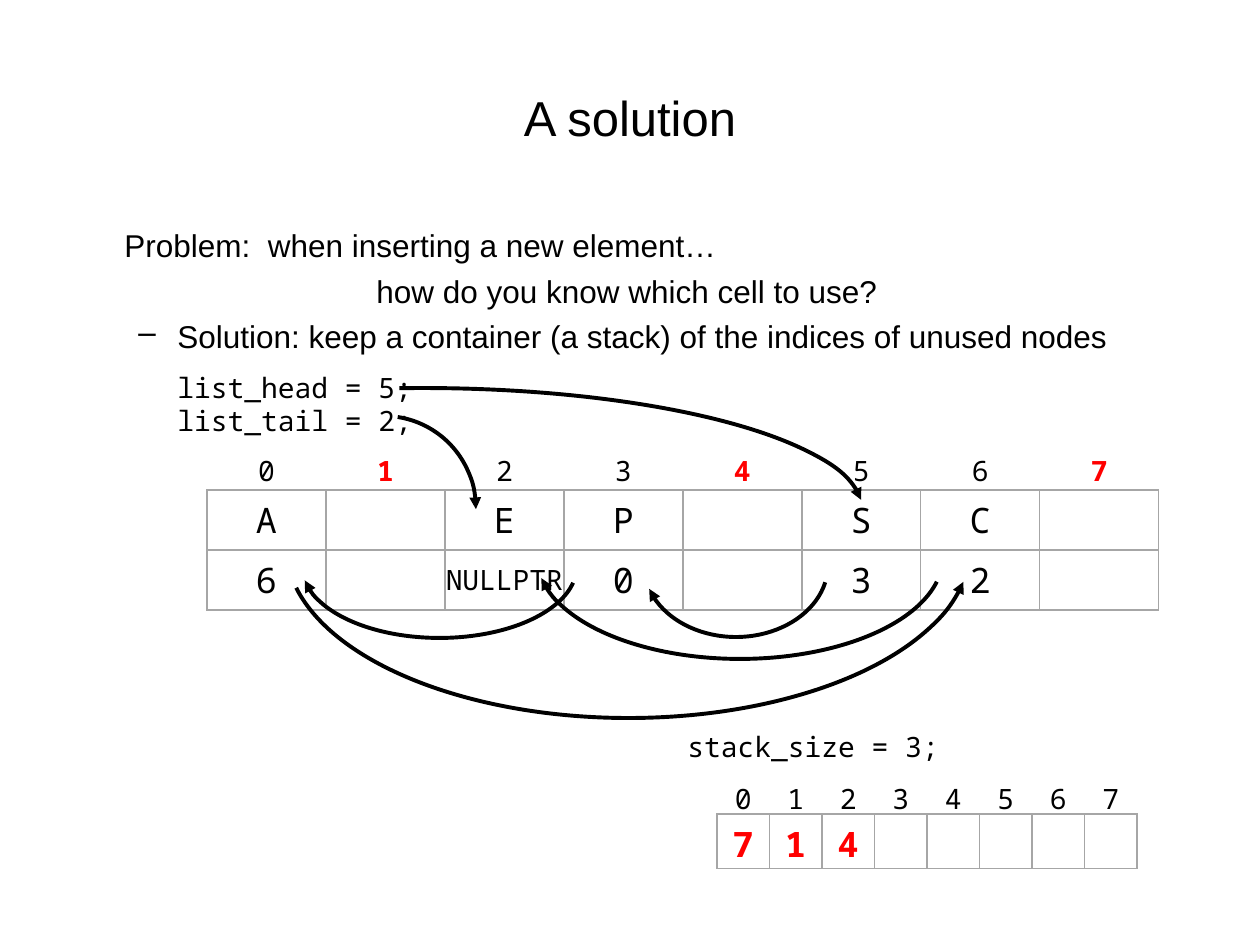
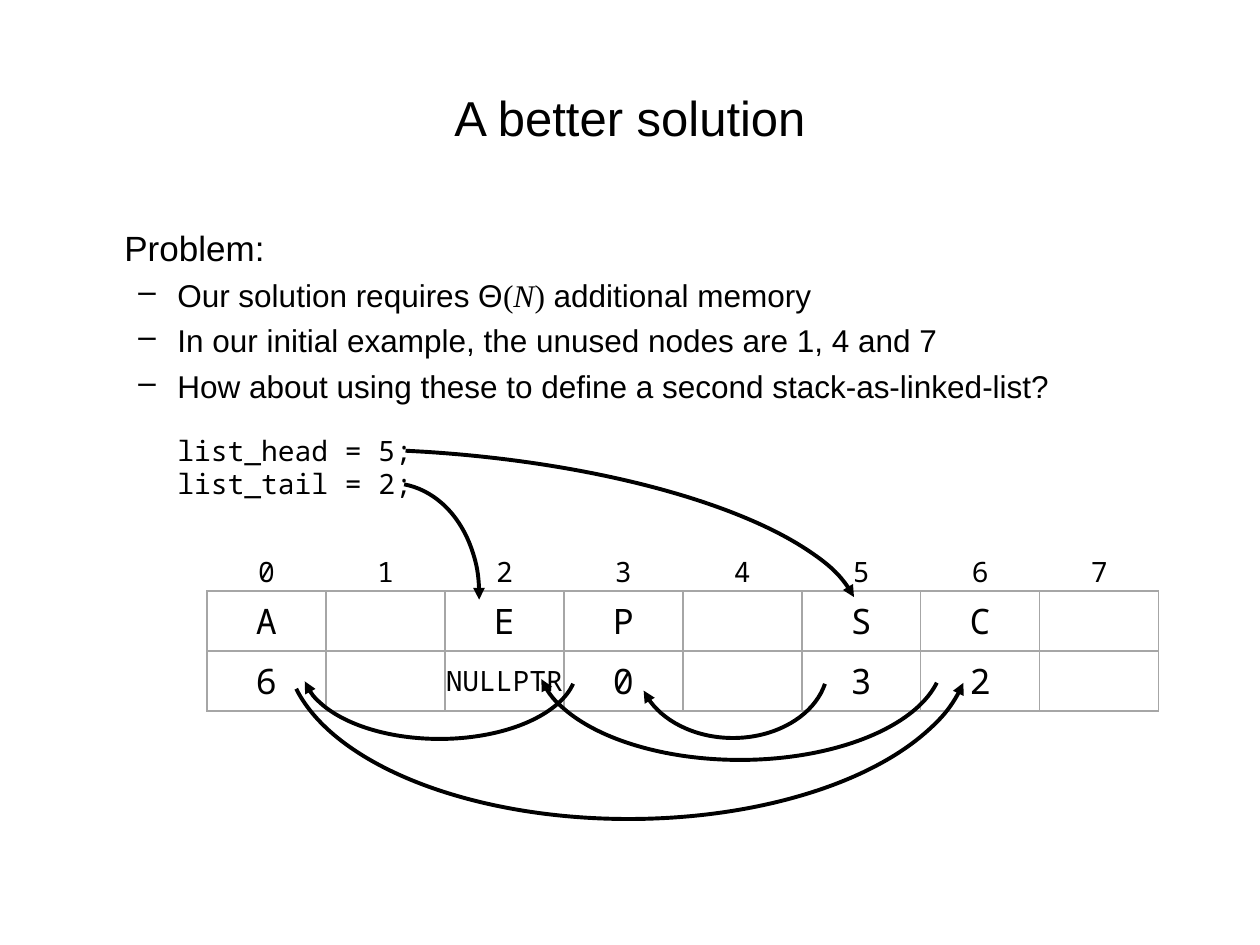
"""Builds two slides about storing a linked list in an array."""
from lxml.etree import SubElement
from pptx import Presentation
from pptx.dml.color import RGBColor
from pptx.enum.shapes import MSO_SHAPE
from pptx.enum.text import MSO_ANCHOR, PP_ALIGN
from pptx.oxml import parse_xml
from pptx.oxml.ns import nsdecls, qn
from pptx.util import Pt

BLACK = RGBColor(0x00, 0x00, 0x00)
RED = RGBColor(0xFF, 0x00, 0x00)
GREY = RGBColor(0xA6, 0xA6, 0xA6)
SANS, SERIF, MONO = "Arial", "Times New Roman", "Noto Sans Mono"
EMU_PER_PX = 914400 / 126

INDICES = "01234567"
LIST_VALUES = ["A", "", "E", "P", "", "S", "C", ""]
LIST_LINKS = ["6", "", "NULLPTR", "0", "", "3", "2", ""]
POINTERS = "list_head = 5;\nlist_tail = 2;"


def emu(px):
    return round(px * EMU_PER_PX)


class Deck:
    """Holds the shared style and the current slide."""

    def __init__(self):
        self.presentation = Presentation()
        self.presentation.slide_width = emu(1260)
        self.presentation.slide_height = emu(945)
        self.slide = None

    def new_slide(self, title):
        layout = self.presentation.slide_layouts[6]
        self.slide = self.presentation.slides.add_slide(layout)
        frame = self.frame(63, 38, 1134, 158)
        frame.vertical_anchor = MSO_ANCHOR.MIDDLE
        frame.text = title
        frame.paragraphs[0].alignment = PP_ALIGN.CENTER
        self.style(frame.paragraphs[0], 28)

    def frame(self, left, top, width, height):
        box = self.slide.shapes.add_textbox(*map(emu, (left, top, width, height)))
        box.text_frame.word_wrap = True
        return box.text_frame

    def style(self, paragraph, size, font=SANS, color=BLACK, bold=False):
        for run in paragraph.runs:
            run.font.size = Pt(size)
            run.font.name = font
            run.font.color.rgb = color
            run.font.bold = bold

    def body(self, lines):
        frame = self.frame(63, 220, 1134, 624)
        frame.text = "\n".join(text for text, *_ in lines)
        for paragraph, (_, size, margin, dash) in zip(frame.paragraphs, lines):
            paragraph.space_before = Pt(4.4)
            self.style(paragraph, size)
            properties = paragraph._p.get_or_add_pPr()
            properties.set("marL", str(emu(margin)))
            properties.set("indent", str(emu(-39 if dash else 0)))
            if dash:
                SubElement(properties, qn("a:buChar")).set("char", "–")
        return frame

    def code(self, left, top, height, text):
        frame = self.frame(left, top, 301, height)
        frame.text = text
        for paragraph in frame.paragraphs:
            self.style(paragraph, 16, MONO)

    def array(self, left, top, width, heights, rows, red=()):
        table = self.slide.shapes.add_table(
            len(rows), len(rows[0]), emu(left), emu(top), emu(width), emu(sum(heights))).table
        table.first_row = table.horz_banding = False
        for column in table.columns:
            column.width = emu(width / len(rows[0]))
        for r, (height, values) in enumerate(zip(heights, rows)):
            table.rows[r].height = emu(height)
            for c, value in enumerate(values):
                self.cell(table.cell(r, c), value, r == 0, (r, c) in red)

    def cell(self, cell, value, is_index, is_red):
        small = is_index or len(value) > 1
        cell.text = value
        cell.fill.background()
        if small:
            cell.margin_left = cell.margin_right = cell.margin_top = cell.margin_bottom = 0
        if small and not is_index:
            cell.vertical_anchor = MSO_ANCHOR.MIDDLE
        paragraph = cell.text_frame.paragraphs[0]
        paragraph.alignment = PP_ALIGN.CENTER
        self.style(paragraph, 16 if small else 20, MONO, RED if is_red else BLACK, is_red)
        properties = cell._tc.get_or_add_tcPr()
        for position, side in enumerate("B" if is_index else "LRTB"):
            properties.insert(position, parse_xml(
                f'<a:ln{side} {nsdecls("a")} w="12700"><a:solidFill>'
                f'<a:srgbClr val="{GREY}"/></a:solidFill></a:ln{side}>'))

    def arc(self, left, top, width, height, start, end, arrow="tailEnd", rotation=0):
        arc = self.slide.shapes.add_shape(
            MSO_SHAPE.ARC, *map(emu, (left, top, width, height)))
        arc.adjustments[0] = start * 0.6
        arc.adjustments[1] = end * 0.6
        arc.rotation = rotation
        arc.shadow.inherit = False
        arc.fill.background()
        arc.line.color.rgb = BLACK
        arc.line.width = Pt(2.25)
        SubElement(arc.line._get_or_add_ln(), qn(f"a:{arrow}")).set("type", "triangle")

    def linked_list(self, top, red=()):
        self.array(207, top, 952, (38, 60, 60), (INDICES, LIST_VALUES, LIST_LINKS), red)

    def node_links(self, top, p_left):
        self.arc(302, top + 42, 275, 144, 7.17, 173.9)
        self.arc(p_left, top + 41, 828 - p_left, 144, 10.97, 164.56)
        self.arc(286, top - 78, 685, 344, 6.1, 172.83, "headEnd")
        self.arc(537, top + 3, 406, 204, 7.17, 173.9)


def add_solution(deck):
    deck.new_slide("A solution")
    deck.body([
        ("Problem:  when inserting a new element…", 18, 49, False),
        ("how do you know which cell to use?", 18, 301, False),
        ("Solution: keep a container (a stack) of the indices of unused nodes", 18, 102, True),
    ])
    deck.linked_list(452, {(0, 1), (0, 4), (0, 7)})
    deck.code(165, 364, 81, POINTERS)
    deck.array(717, 780, 420, (34, 54), (INDICES, ["7", "1", "4"] + [""] * 5),
               {(1, 0), (1, 1), (1, 2)})
    deck.code(675, 723, 47, "stack_size = 3;")
    deck.node_links(452, 644)
    deck.arc(-18, 388, 881, 246, 259.39, 358.54)
    deck.arc(292, 416, 184, 186, 273.5, 355.1, rotation=5)


def add_better_solution(deck):
    deck.new_slide("A better solution")
    frame = deck.body([
        ("Problem:", 20, 49, False),
        ("Our solution requires Θ", 18, 102, True),
        ("In our initial example, the unused nodes are 1, 4 and 7", 18, 102, True),
        ("How about using these to define a second stack-as-linked-list?", 18, 102, True),
    ])
    memory = frame.paragraphs[1]
    for part in ("(", "N", ")", " additional memory"):
        memory.add_run().text = part
    deck.style(memory, 18)
    for run in memory.runs[1:4]:
        run.font.name = SERIF
    memory.runs[2].font.italic = True
    deck.linked_list(553)
    deck.code(165, 427, 81, POINTERS)
    deck.node_links(553, 638)
    deck.arc(-16, 452, 877, 285, 259.39, 356.45, rotation=3.9)
    deck.arc(295, 483, 184, 233, 273.5, 355.1, rotation=5)


def main():
    deck = Deck()
    add_solution(deck)
    add_better_solution(deck)
    deck.presentation.save("out.pptx")


if __name__ == "__main__":
    main()
